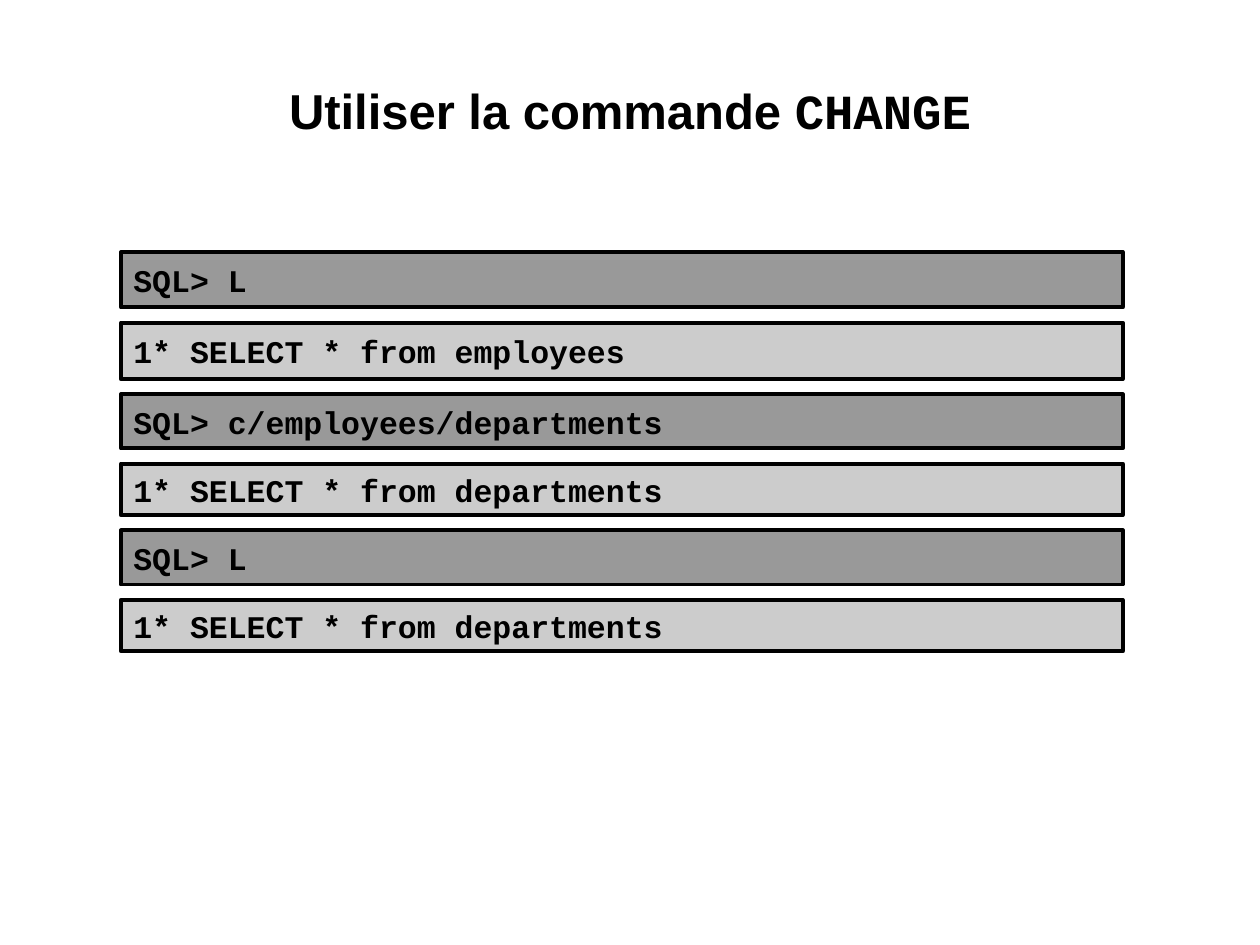
import pptx
import pptx.util
from pptx.dml.color import RGBColor
from pptx.enum.shapes import MSO_SHAPE
from pptx.enum.text import MSO_ANCHOR, PP_ALIGN
from pptx.util import Inches

# Content
TITLE = [("Utiliser la commande ", "Arial"), ("CHANGE", "Courier New")]
# Text, top and height of each console line; prompts and results alternate
LINES = [
    ("SQL> L", 2.0, 0.44),
    ("1* SELECT * from employees", 2.56, 0.45),
    ("SQL> c/employees/departments", 3.13, 0.43),
    ("1* SELECT * from departments", 3.68, 0.41),
    ("SQL> L", 4.21, 0.43),
    ("1* SELECT * from departments", 4.76, 0.41),
]
LEFT, WIDTH = 0.96, 7.95

THEME = {
    "ink": RGBColor.from_string("000000"),
    "prompt": RGBColor.from_string("999999"),
    "result": RGBColor.from_string("CCCCCC"),
    "code_font": "Courier New",
    "title_size": pptx.util.Pt(28),
    "code_size": pptx.util.Pt(18),
    "border": pptx.util.Pt(2.25),
}


def style(font, size):
    font.size = size
    font.bold = True
    font.color.rgb = THEME["ink"]


def add_title(s):
    sp = s.shapes.title
    sp.left, sp.top, sp.width, sp.height = map(Inches, (1, 0.58, 8, 0.96))
    tf = sp.text_frame
    tf.vertical_anchor = MSO_ANCHOR.TOP
    tf.margin_left = tf.margin_right = tf.margin_bottom = Inches(0.01)
    tf.margin_top = Inches(0.06)
    p = tf.paragraphs[0]
    p.alignment = PP_ALIGN.CENTER
    style(p.font, THEME["title_size"])
    for text, font_name in TITLE:
        r = p.add_run()
        r.text = text
        r.font.name = font_name


def add_console_line(s, text, top, height):
    sp = s.shapes.add_shape(MSO_SHAPE.RECTANGLE, Inches(LEFT), Inches(top),
                            Inches(WIDTH), Inches(height))
    sp.shadow.inherit = False
    sp.fill.solid()
    kind = "prompt" if text.startswith("SQL>") else "result"
    sp.fill.fore_color.rgb = THEME[kind]
    sp.line.color.rgb = THEME["ink"]
    sp.line.width = THEME["border"]
    tf = sp.text_frame
    tf.word_wrap = False
    tf.vertical_anchor = MSO_ANCHOR.MIDDLE
    p = tf.paragraphs[0]
    p.text = text
    p.alignment = PP_ALIGN.LEFT
    p.font.name = THEME["code_font"]
    style(p.font, THEME["code_size"])


def main():
    prs = pptx.Presentation()
    prs.slide_width, prs.slide_height = Inches(10), Inches(7.5)
    s = prs.slides.add_slide(prs.slide_layouts[5])  # title only
    add_title(s)
    for line in LINES:
        add_console_line(s, *line)
    prs.save("out.pptx")


if __name__ == "__main__":
    main()
